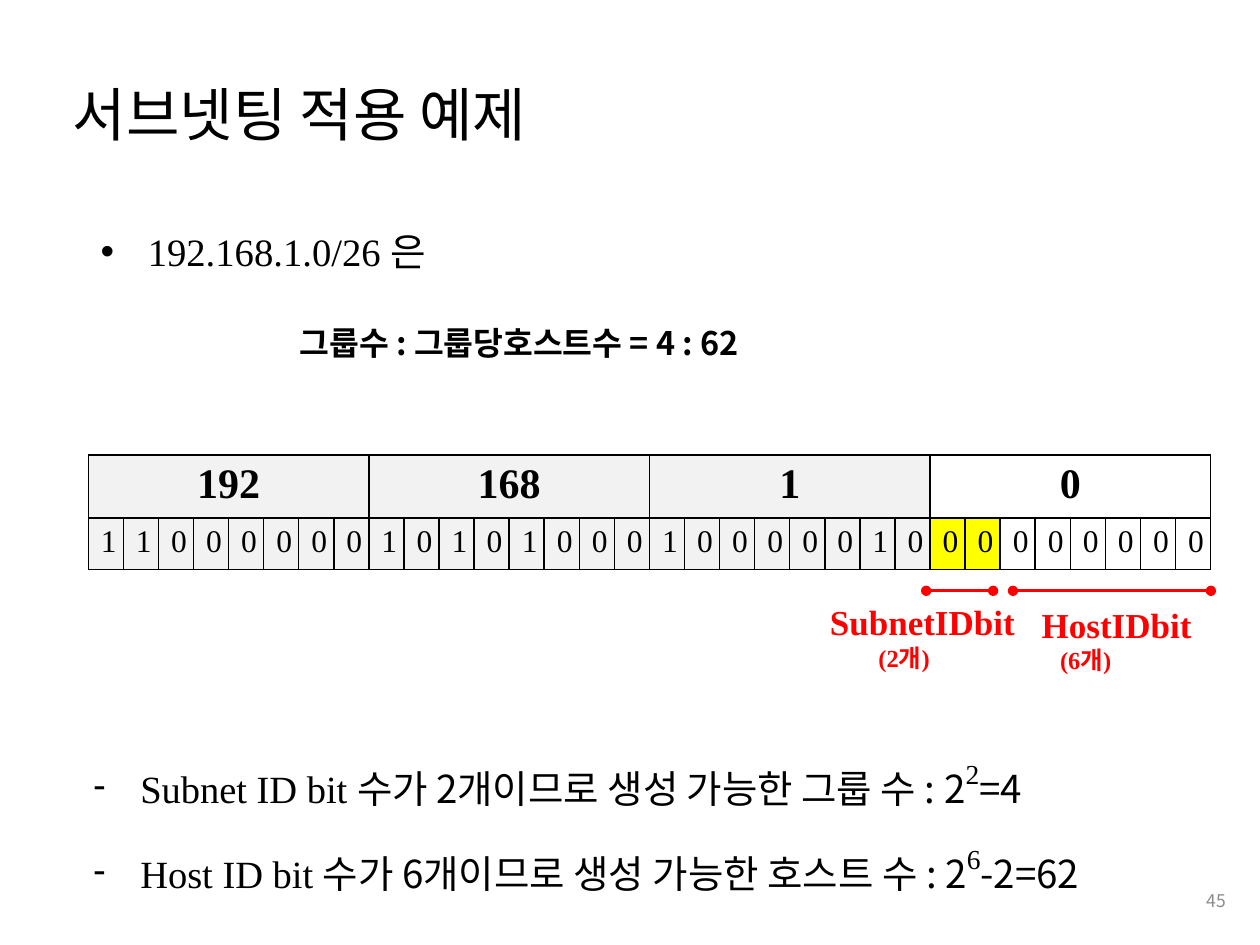
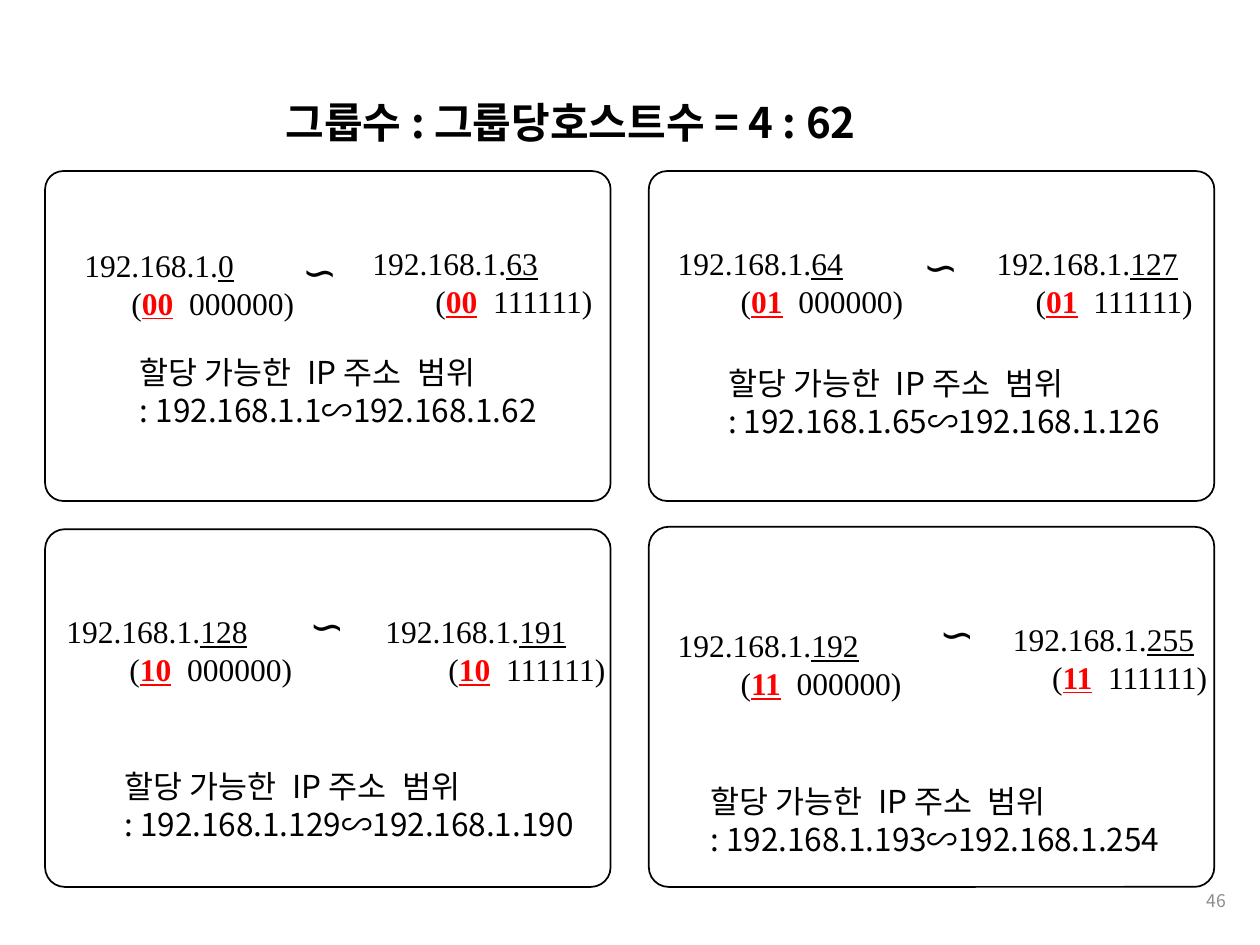
from lxml import etree
from pptx import Presentation
from pptx import util as u
from pptx.dml.color import RGBColor
from pptx.enum import shapes, text
from pptx.oxml import ns

COLORS = {"ink": "000000", "accent": "FF0000", "network": "F2F2F2",
          "subnet": "FFFF00", "page": "8C8C8C"}
KOREAN, LATIN, SYMBOL = "Noto Sans CJK KR", "Times New Roman", "Calibri"
RATIO = "그룹수 : 그룹당호스트수 = 4 : 62"
BLOCK = 64  # addresses in one /26 subnet


def rgb(name):
    return RGBColor.from_string(COLORS[name])


def add_run(paragraph, content, size=18, font=LATIN, color="ink",
            bold=False, underline=False, spacing=None, raised=None):
    run = paragraph.add_run()
    run.text = content
    run.font.size, run.font.name = u.Pt(size), font
    run.font.bold, run.font.underline = bold, underline
    run.font.color.rgb = rgb(color)
    properties = run._r.get_or_add_rPr()
    east_asian = etree.SubElement(properties, ns.qn("a:ea"))
    east_asian.set("typeface", KOREAN if font == LATIN else font)
    if spacing:
        properties.set("spc", str(int(spacing * 100)))
    if raised:
        properties.set("baseline", str(raised * 1000))


def add_text(slide, box, paragraphs, indents=(), bullet=None, line_spacing=None,
             align=None, anchor=text.MSO_ANCHOR.TOP, **style):
    """Each paragraph is a string or a list of (content, style changes)."""
    shape = slide.shapes.add_textbox(*map(u.Cm, box))
    frame = shape.text_frame
    frame.word_wrap, frame.vertical_anchor = True, anchor
    frame.margin_right = 0
    for index, runs in enumerate(paragraphs):
        paragraph = frame.add_paragraph() if index else frame.paragraphs[0]
        properties = paragraph._p.get_or_add_pPr()
        if bullet:
            properties.set("marL", str(u.Cm(0.95)))
            properties.set("indent", str(u.Cm(-0.95)))
            etree.SubElement(properties, ns.qn("a:buFont")).set("typeface", "Arial")
            etree.SubElement(properties, ns.qn("a:buChar")).set("char", bullet)
        elif indents:
            properties.set("marL", str(u.Cm(indents[index])))
        if line_spacing:
            paragraph.line_spacing = line_spacing
        if align:
            paragraph.alignment = align
        for content, changes in [(runs, {})] if isinstance(runs, str) else runs:
            add_run(paragraph, content, **{**style, **changes})


def add_page_number(slide, number):
    add_text(slide, (19.25, 17.65, 5.46, 1.02), [str(number)], size=10, font=KOREAN,
             color="page", align=text.PP_ALIGN.RIGHT, anchor=text.MSO_ANCHOR.MIDDLE)


def add_span(slide, left, right, top):
    """Red line with a dot at each end."""
    line = slide.shapes.add_connector(shapes.MSO_CONNECTOR.STRAIGHT,
                                      *map(u.Cm, (left, top, right, top)))
    line.line.color.rgb, line.line.width = rgb("accent"), u.Pt(1.5)
    outline = line.line._get_or_add_ln()
    for end in ("a:headEnd", "a:tailEnd"):
        etree.SubElement(outline, ns.qn(end)).set("type", "oval")
    etree.SubElement(line._element.spPr, ns.qn("a:effectLst"))


def format_cell(cell, fill):
    properties = cell._tc.get_or_add_tcPr()
    for side in ("a:lnL", "a:lnR", "a:lnT", "a:lnB"):
        border = etree.SubElement(properties, ns.qn(side), w=str(u.Pt(1)))
        solid = etree.SubElement(border, ns.qn("a:solidFill"))
        etree.SubElement(solid, ns.qn("a:srgbClr"), val=COLORS["ink"])
    if fill:
        cell.fill.solid()
        cell.fill.fore_color.rgb = rgb(fill)
    else:
        cell.fill.background()


def add_address_table(slide, octets, bits):
    table = slide.shapes.add_table(
        2, len(bits), *map(u.Cm, (1.78, 9.17, 22.63, 2.31))).table
    table.first_row = table.horz_banding = False
    table.rows[0].height, table.rows[1].height = u.Cm(1.27), u.Cm(1.04)
    for index, bit in enumerate(bits):
        table.columns[index].width = u.Cm(22.63 / len(bits))
        network = "network" if index < 24 else None
        format_cell(table.cell(0, index), network)
        cell = table.cell(1, index)
        format_cell(cell, "subnet" if index in (24, 25) else network)
        cell.margin_right = 0
        add_run(cell.text_frame.paragraphs[0], bit)
    for index, octet in enumerate(octets):
        cell = table.cell(0, index * 8)
        cell.merge(table.cell(0, index * 8 + 7))
        paragraph = cell.text_frame.paragraphs[0]
        paragraph.alignment = text.PP_ALIGN.CENTER
        add_run(paragraph, octet, size=24, bold=True)


def add_address(slide, left, top, indent, number):
    """Address with its last octet split into subnet and host bits."""
    bits = f"{number:08b}"
    add_text(slide, (left, top, 5.1, 1.8),
             [[("192.168.1.", {}), (str(number), {"underline": True})],
              [("(", {}),
               (bits[:2], {"color": "accent", "bold": True, "underline": True}),
               (" ", {"spacing": 4.5}), (bits[2:] + ")", {})]],
             indents=(0, indent))


def add_subnet(slide, index, card, low, high, tilde, usable):
    first, last = BLOCK * index, BLOCK * (index + 1) - 1
    frame = slide.shapes.add_shape(shapes.MSO_SHAPE.ROUNDED_RECTANGLE, *map(u.Cm, card))
    frame.adjustments[0] = 0.055
    frame.shadow.inherit = False
    frame.fill.background()
    frame.line.color.rgb, frame.line.width = rgb("ink"), u.Pt(1)
    add_address(slide, *low, first)
    add_address(slide, *high, last)
    add_text(slide, (*tilde, 1.09, 1.27), ["∽"], size=24, font=SYMBOL)
    gap = (" ", {"spacing": 5})
    add_text(slide, (*usable, 9.8, 2.57),
             [[("할당 가능한", {}), gap, ("IP 주소", {}), gap, ("범위", {})],
              f": 192.168.1.{first + 1}∽192.168.1.{last - 1}"], font=KOREAN)


def build_example(slide):
    # Heading and question
    add_text(slide, (1.22, 0.53, 21.9, 3.68), ["서브넷팅 적용 예제"], size=33.2,
             font=KOREAN, line_spacing=0.9, anchor=text.MSO_ANCHOR.MIDDLE)
    add_text(slide, (5.79, 6.38, 10, 1.04), [RATIO], size=18.5, font=KOREAN, bold=True)
    add_text(slide, (1.78, 4.47, 7.82, 1.19),
             [[("192.168.1.0/26 ", {}), ("은", {"font": KOREAN})]], size=22.1, bullet="•")

    # Address bits with the subnet and host parts marked
    add_address_table(slide, ("192", "168", "1", "0"),
                      "11000000" "10101000" "10000010" "00000000")
    for left, right, box, label, count, indent in (
            (18.67, 20.02, (16.48, 11.99, 4.27, 1.7), "SubnetIDbit", "(2개)", 0.98),
            (20.42, 24.41, (20.75, 12.04, 3.56, 2.57), "HostIDbit", "(6개)", 0.37)):
        add_span(slide, left, right, 11.91)
        add_text(slide, box, [label, [(count, {"size": 14})]], indents=(0, indent),
                 size=20, color="accent", bold=True)

    # Group and host counts as powers of two
    korean, exponent = {"font": KOREAN}, {"size": 27, "raised": 40}
    add_text(slide, (1.63, 14.55, 22.02, 3.07),
             [[(f"{name} ID bit ", {}),
               (f"수가 {bits}개이므로 생성 가능한 {counted} 수 : 2", korean),
               (bits, exponent), (result, korean)]
              for name, bits, counted, result in (("Subnet", "2", "그룹", "=4"),
                                                  ("Host", "6", "호스트", "-2=62"))],
             size=22, bullet="-", line_spacing=1.5)
    add_page_number(slide, 45)


def build_subnets(slide):
    add_text(slide, (5.51, 1.83, 12.85, 1.27), [RATIO], size=24, font=KOREAN, bold=True)
    # Card, low address, high address, tilde and usable range of each subnet
    left, right, width = 0.91, 13.08, 11.4
    layout = (
        ((left, 3.45, width, 6.65), (1.45, 4.83, 0.95), (7.26, 4.8, 1.27),
         (5.84, 4.83), (2.57, 6.99)),
        ((right, 3.45, width, 6.65), (13.41, 4.8, 1.27), (19.84, 4.8, 0.79),
         (18.36, 4.72), (14.43, 7.21)),
        ((left, 10.67, width, 7.21), (1.09, 12.22, 1.27), (7.52, 12.22, 1.27),
         (5.99, 11.96), (2.26, 15.34)),
        ((right, 10.62, width, 7.26), (13.41, 12.5, 1.27), (20.17, 12.37, 0.79),
         (18.69, 12.12), (14.07, 15.65)))
    for index, places in enumerate(layout):
        add_subnet(slide, index, *places)
    add_page_number(slide, 46)


def main():
    presentation = Presentation()
    presentation.slide_width, presentation.slide_height = u.Cm(25.4), u.Cm(19.05)
    for build in (build_example, build_subnets):
        build(presentation.slides.add_slide(presentation.slide_layouts[6]))
    presentation.save("out.pptx")


if __name__ == "__main__":
    main()
